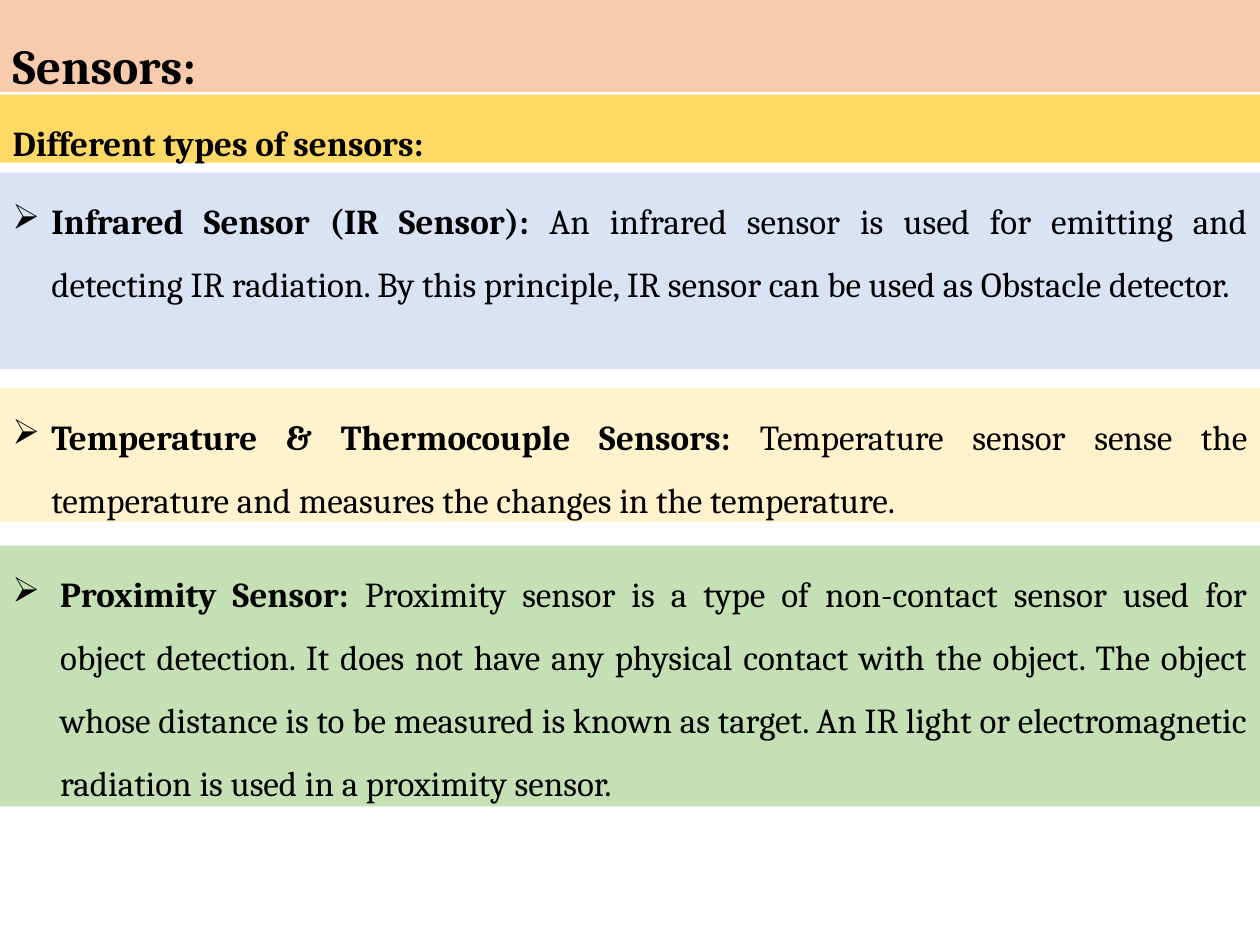
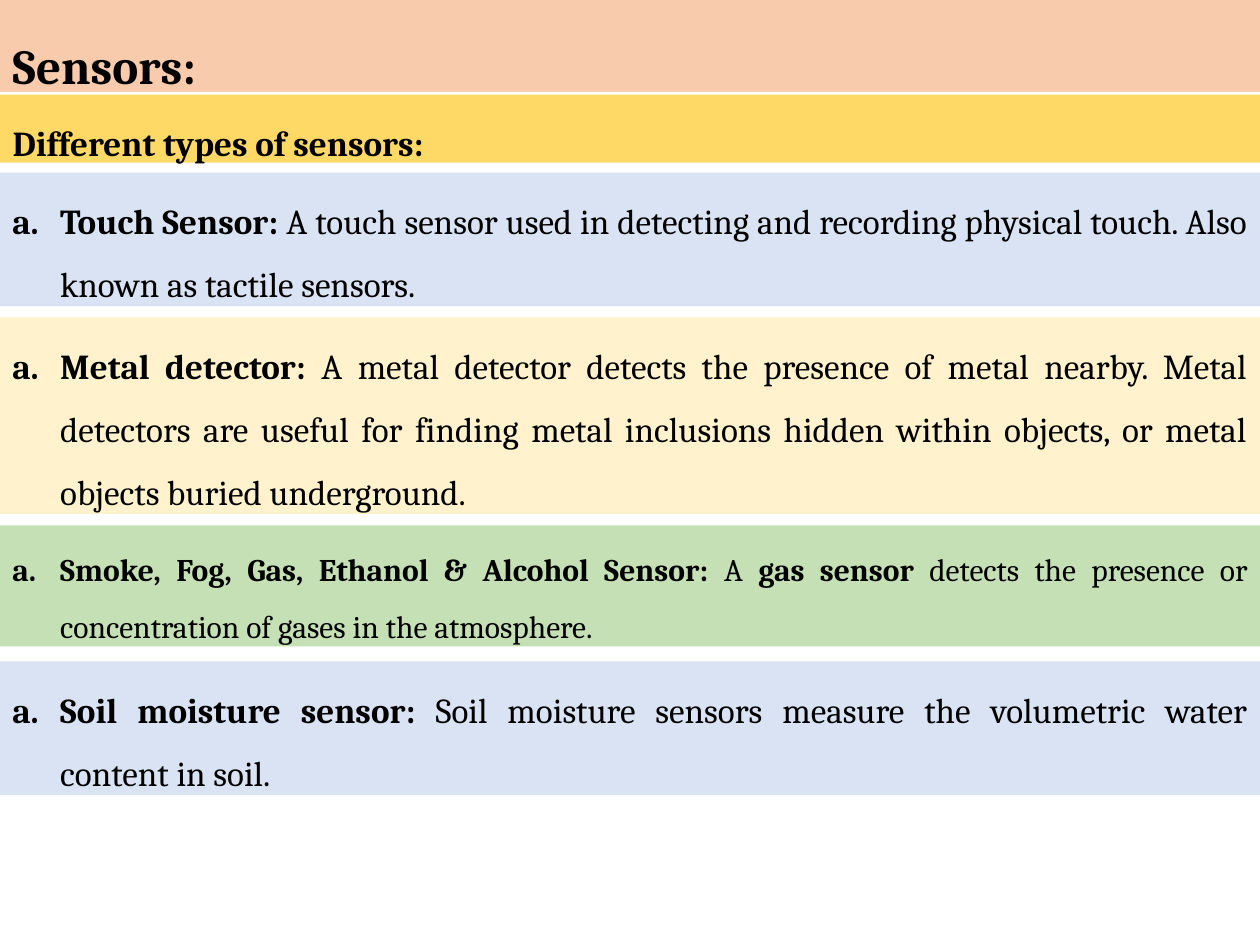
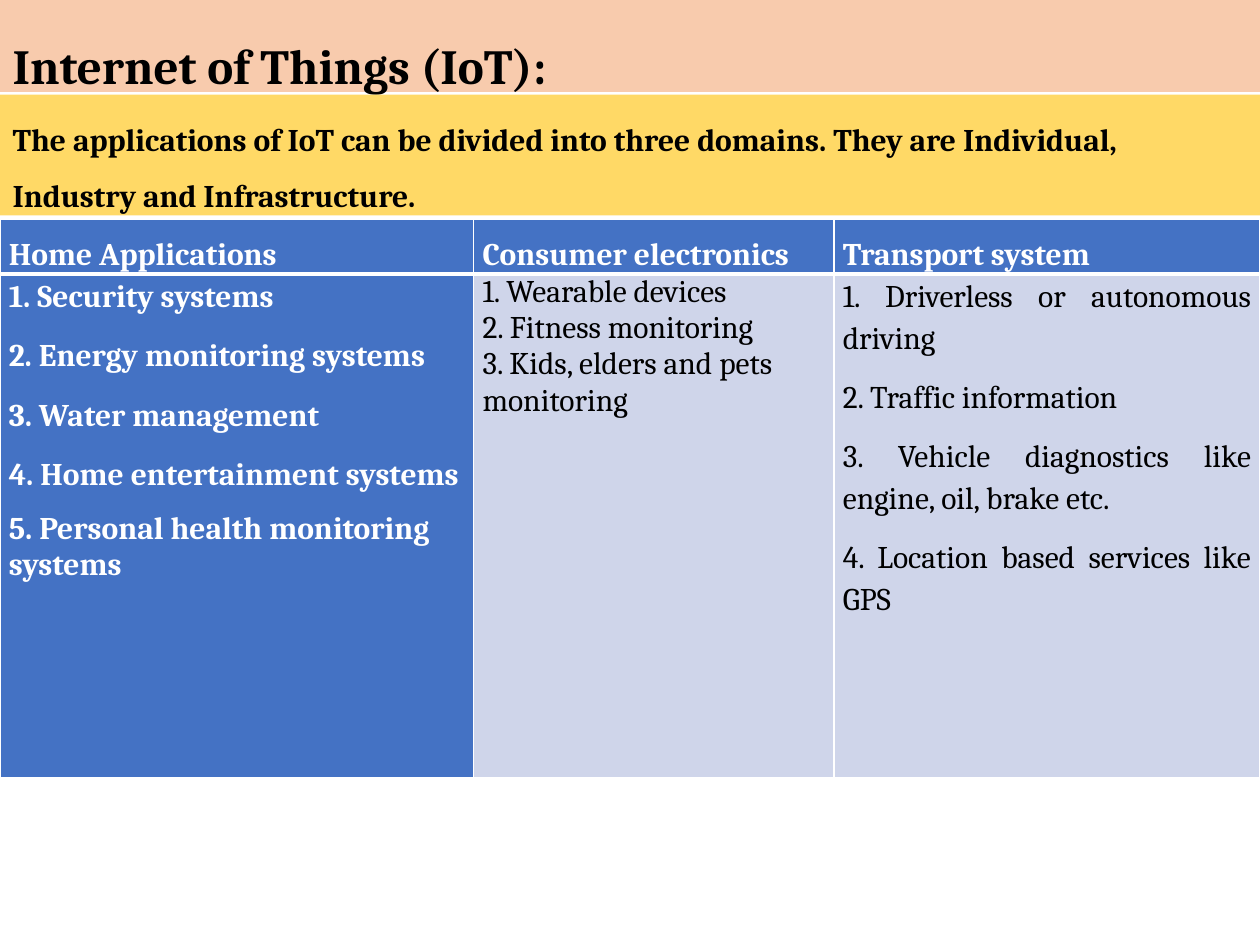
from dataclasses import dataclass

from lxml.etree import SubElement
from pptx import Presentation
from pptx.dml.color import RGBColor
from pptx.enum.text import MSO_ANCHOR, MSO_AUTO_SIZE, PP_ALIGN
from pptx.oxml import parse_xml
from pptx.oxml.ns import nsdecls, qn
from pptx.util import Inches, Pt


@dataclass(frozen=True)
class Theme:
    """Colours, type sizes and page measures shared by the slides."""
    font: str = "Cambria"
    black: str = "000000"
    white: str = "FFFFFF"
    peach: str = "F8CBAD"
    gold: str = "FFD966"
    blue: str = "DAE3F3"
    cream: str = "FFF2CC"
    green: str = "C5E0B4"
    header: str = "4472C4"
    cell: str = "CFD5EA"
    title: int = 28
    body: int = 20
    small: int = 18
    width: float = 10
    height: float = 7.5


T = Theme()
ARROW = ("a:buChar", {"char": "➢"})
LETTER = ("a:buAutoNum", {"type": "alphaLcPeriod"})
LEFT, JUSTIFY = PP_ALIGN.LEFT, PP_ALIGN.JUSTIFY

ARROW_CARDS = [
    (1.37, 1.56, T.blue, T.body, 0.31,
     ("Infrared Sensor (IR Sensor): ",
      "An infrared sensor is used for emitting and detecting IR radiation. "
      "By this principle, IR sensor can be used as Obstacle detector.")),
    (3.08, 1.06, T.cream, T.body, 0.31,
     ("Temperature & Thermocouple Sensors: ",
      "Temperature sensor sense the temperature and measures the changes "
      "in the temperature.")),
    (4.33, 2.07, T.green, T.body, 0.38,
     ("Proximity Sensor: ",
      "Proximity sensor is a type of non-contact sensor used for object "
      "detection. It does not have any physical contact with the object. "
      "The object whose distance is to be measured is known as target. An IR "
      "light or electromagnetic radiation is used in a proximity sensor.")),
]

LETTER_CARDS = [
    (1.37, 1.06, T.blue, T.body, 0.38,
     ("Touch Sensor: ",
      "A touch sensor used in detecting and recording physical touch. "
      "Also known as tactile sensors.")),
    (2.52, 1.56, T.cream, T.body, 0.38,
     ("Metal detector: ",
      "A metal detector detects the presence of metal nearby. Metal detectors "
      "are useful for finding metal inclusions hidden within objects, or "
      "metal objects buried underground.")),
    (4.17, 0.96, T.green, T.small, 0.38,
     ("Smoke, Fog, Gas, Ethanol & Alcohol Sensor: ", "A ", "gas sensor ",
      "detects the presence or concentration of gases in the atmosphere.")),
    (5.25, 1.06, T.blue, T.body, 0.38,
     ("Soil moisture sensor: ",
      "Soil moisture sensors measure the volumetric water content in soil.")),
]

DOMAINS = [
    (3.76, "Home Applications",
     ["1. Security systems", "2. Energy monitoring systems",
      "3. Water management", "4. Home entertainment systems",
      "5. Personal health monitoring systems"]),
    (2.86, "Consumer electronics",
     ["1. Wearable devices", "2. Fitness monitoring",
      "3. Kids, elders and pets monitoring"]),
    (3.38, "Transport system",
     ["1. Driverless or autonomous driving", "2. Traffic information",
      "3. Vehicle diagnostics like engine, oil, brake etc.",
      "4. Location based services like GPS"]),
]


def format_paragraph(p, size, color=T.black, bold=True, align=LEFT,
                     spacing=1.5, before=0, after=0):
    """Set the spacing of a paragraph and the font of its runs."""
    p.alignment, p.line_spacing = align, spacing
    p.space_before, p.space_after = Pt(before), Pt(after)
    for r in p.runs:
        r.font.name, r.font.size, r.font.bold = T.font, Pt(size), bold
        r.font.color.rgb = RGBColor.from_string(color)


def set_bullet(p, bullet, indent=0.0):
    """Give a paragraph a bullet element and a hanging indent."""
    tag, attributes = bullet
    pPr = p._p.get_or_add_pPr()
    pPr.set("marL", str(Inches(indent)))
    pPr.set("indent", str(-Inches(indent)))
    SubElement(pPr, qn(tag), attributes)


def style_band(sp, top, height, fill):
    """Make a shape a full-width filled band with text from the top."""
    sp.left, sp.top = Inches(0), Inches(top)
    sp.width, sp.height = Inches(T.width), Inches(height)
    sp.fill.solid()
    sp.fill.fore_color.rgb = RGBColor.from_string(fill)
    tf = sp.text_frame
    tf.word_wrap, tf.auto_size = True, MSO_AUTO_SIZE.NONE
    tf.vertical_anchor = MSO_ANCHOR.TOP
    return tf


def add_headed_slide(prs, title, heading, size, height, align=LEFT, before=0):
    """Add a slide with its title band and heading band."""
    s = prs.slides.add_slide(prs.slide_layouts[1])
    tf = style_band(s.shapes.title, 0, 0.73, T.peach)
    tf.text = title
    format_paragraph(tf.paragraphs[0], T.title)
    tf = style_band(s.placeholders[1], 0.75, height, T.gold)
    tf.text = heading
    p = tf.paragraphs[0]
    format_paragraph(p, size, align=align, before=before)
    set_bullet(p, ("a:buNone", {}))
    return s


def add_card(s, bullet, top, height, fill, size, indent, parts):
    """Add a coloured band whose parts alternate bold and regular."""
    sp = s.shapes.add_textbox(0, 0, 0, 0)
    p = style_band(sp, top, height, fill).paragraphs[0]
    for part in parts:
        p.add_run().text = part
    format_paragraph(p, size, align=JUSTIFY)
    for r in p.runs[1::2]:
        r.font.bold = False
    set_bullet(p, bullet, indent)


def add_sensor_slide(prs, bullet, cards):
    """Add a slide of sensor cards."""
    s = add_headed_slide(prs, "Sensors:", "Different types of sensors:",
                         T.body, 0.54, JUSTIFY)
    for card in cards:
        add_card(s, bullet, *card)


def set_borders(cell, **widths):
    """Draw white cell borders of the given widths in points."""
    tcPr = cell._tc.get_or_add_tcPr()
    for i, (side, width) in enumerate(widths.items()):
        tcPr.insert(i, parse_xml(
            f'<a:ln{side} {nsdecls("a")} w="{Pt(width)}"><a:solidFill>'
            f'<a:srgbClr val="{T.white}"/></a:solidFill></a:ln{side}>'))


def fill_cell(cell, lines, fill):
    """Set the text, fill and margins of a table cell."""
    cell.margin_left = cell.margin_right = Inches(0.07)
    cell.margin_top = cell.margin_bottom = 0
    cell.fill.solid()
    cell.fill.fore_color.rgb = RGBColor.from_string(fill)
    cell.text_frame.text = "\n".join(lines)
    return cell.text_frame.paragraphs


def add_domain_table(s):
    """Add the table of application domains."""
    table = s.shapes.add_table(2, len(DOMAINS), Inches(0), Inches(1.74),
                               Inches(T.width), Inches(4.42)).table
    table.rows[0].height, table.rows[1].height = Inches(0.42), Inches(4)
    for col, (width, heading, items) in enumerate(DOMAINS):
        table.columns[col].width = Inches(width)
        head, body = table.cell(0, col), table.cell(1, col)
        p = fill_cell(head, [heading], T.header)[0]
        format_paragraph(p, T.small, T.white)
        first = col == 0
        color = T.white if first else T.black
        for i, p in enumerate(fill_cell(body, items,
                                        T.header if first else T.cell)):
            if col == 1 or i == 4:
                format_paragraph(p, T.small, color, first, spacing=1.0)
            else:
                format_paragraph(p, T.small, color, first, JUSTIFY, 1.15,
                                 after=10)
        set_borders(head, L=1, R=1, T=1, B=3)
        set_borders(body, L=1, R=1, T=3, B=1)


def main():
    """Build the three slides and save them."""
    prs = Presentation()
    prs.slide_width, prs.slide_height = Inches(T.width), Inches(T.height)
    add_sensor_slide(prs, ARROW, ARROW_CARDS)
    add_sensor_slide(prs, LETTER, LETTER_CARDS)
    s = add_headed_slide(
        prs, "Internet of Things (IoT):",
        "The applications of IoT can be divided into three domains. "
        "They are Individual, Industry and Infrastructure.",
        T.small, 0.96, before=2)
    add_domain_table(s)
    prs.save("out.pptx")


if __name__ == "__main__":
    main()
